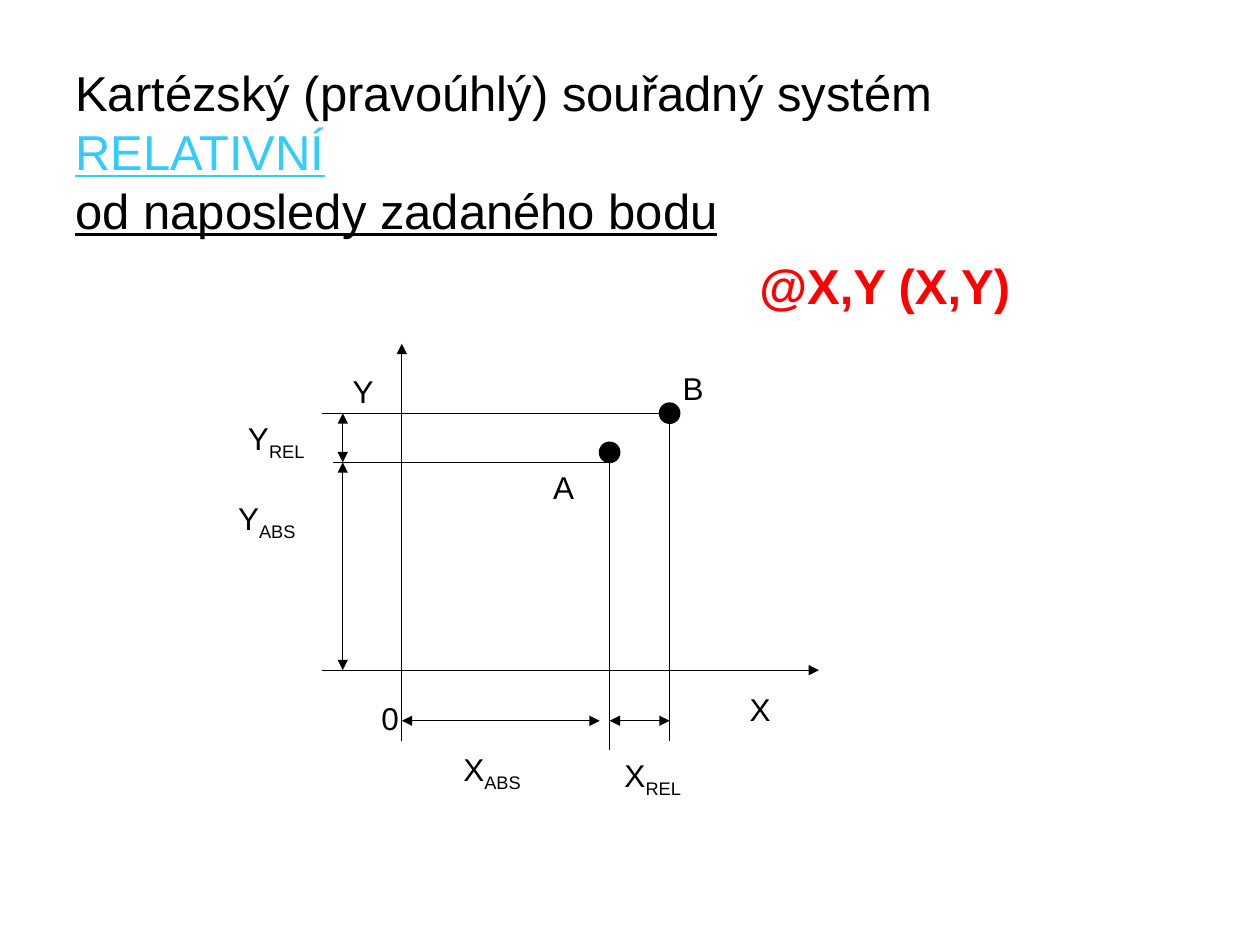
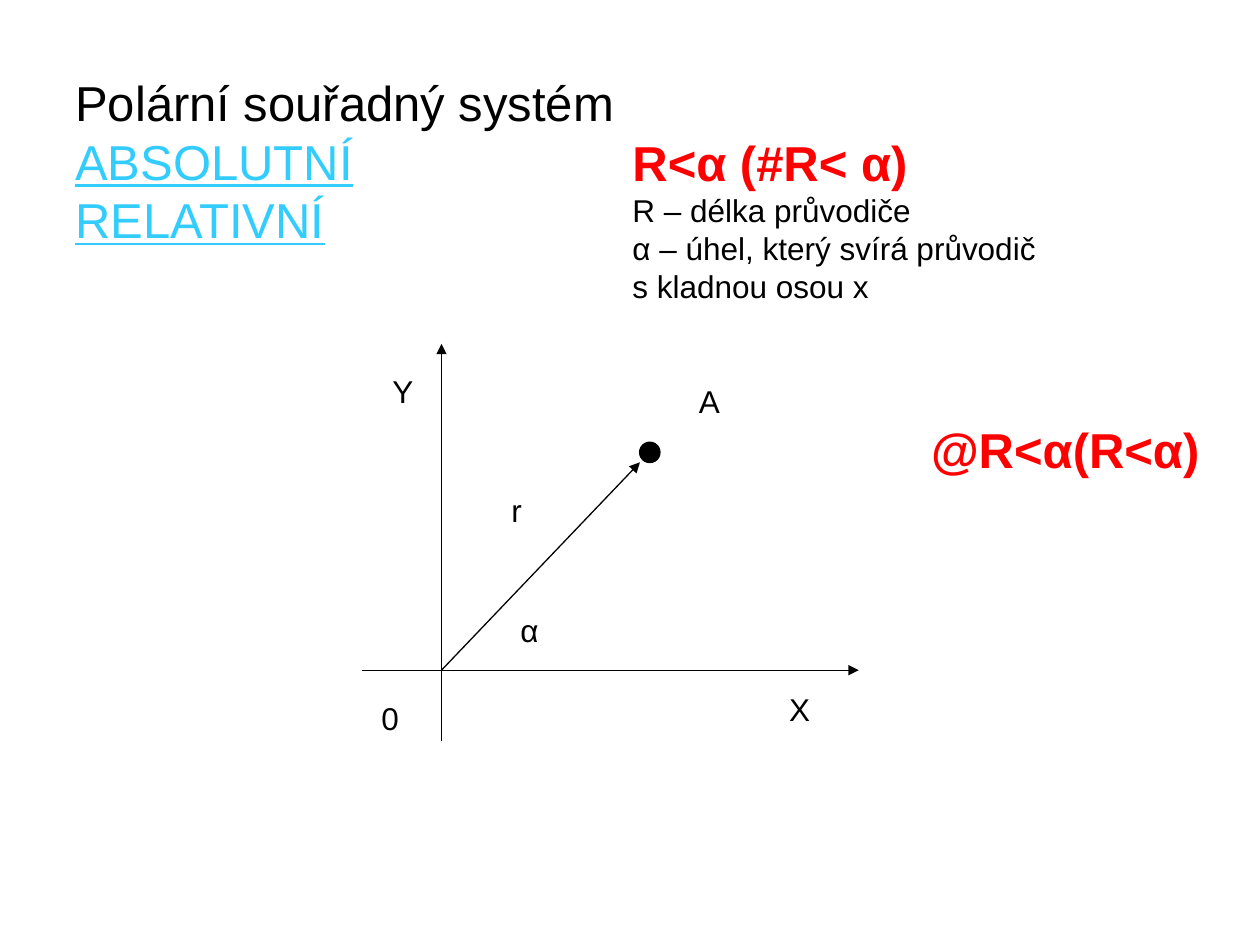
"""Build two slides on relative Cartesian and polar coordinate systems."""
from lxml import etree
from pptx import Presentation
from pptx.dml.color import RGBColor
from pptx.enum.shapes import MSO_CONNECTOR, MSO_SHAPE
from pptx.enum.text import MSO_ANCHOR, MSO_AUTO_SIZE
from pptx.oxml.ns import qn
from pptx.util import Cm, Pt

BLACK = RGBColor(0x00, 0x00, 0x00)
CYAN = RGBColor(0x33, 0xCC, 0xFF)
RED = RGBColor(0xFF, 0x00, 0x00)
STRAIGHT = MSO_CONNECTOR.STRAIGHT
ELLIPSE = MSO_SHAPE.OVAL
TOP, MIDDLE = MSO_ANCHOR.TOP, MSO_ANCHOR.MIDDLE
FIXED, GROW = MSO_AUTO_SIZE.NONE, MSO_AUTO_SIZE.SHAPE_TO_FIT_TEXT

LETTER_WIDTH, DIGIT_WIDTH, INDEXED_WIDTH = 0.91, 0.86, 1.68
ORIGIN_Y = 13.51


class Board:
    """Draws the elements of the current slide in one shared style."""

    def __init__(self):
        self.deck = Presentation()
        self.deck.slide_width, self.deck.slide_height = Cm(25.4), Cm(19.05)
        self.page = None

    def new_page(self):
        self.page = self.deck.slides.add_slide(self.deck.slide_layouts[6])

    def box(self, left, top, width, height, anchor=TOP, wrap=False):
        box = self.page.shapes.add_textbox(Cm(left), Cm(top), Cm(width), Cm(height))
        frame = box.text_frame
        frame.word_wrap = wrap
        frame.auto_size = FIXED if wrap else GROW
        frame.vertical_anchor = anchor
        return frame

    def style(self, para, size=18, color=BLACK, bold=False):
        para.font.name = "Arial"
        para.font.size = Pt(size)
        para.font.bold = bold
        para.font.color.rgb = color

    def title(self, height, rows):
        para = self.box(1.27, 0.76, 22.86, height, MIDDLE, True).paragraphs[0]
        self.style(para, 28)
        for index, (words, color, underlined) in enumerate(rows):
            if index:
                para.add_line_break()
            span = para.add_run()
            span.text = words
            span.font.color.rgb = color
            span.font.underline = underlined

    def label(self, left, top, words, index="", width=LETTER_WIDTH):
        if index:
            width = INDEXED_WIDTH
        para = self.box(left, top, width, 1.12 if index else 1.02).paragraphs[0]
        self.style(para)
        para.add_run().text = words
        if index:
            span = para.add_run()
            span.text = index
            span._r.get_or_add_rPr().set("baseline", "-25000")

    def formula(self, left, top, width, words, notes=(), height=1.45, anchor=TOP):
        frame = self.box(left, top, width, height, anchor)
        frame.text = "\n".join([words, *notes])
        first, *others = frame.paragraphs
        self.style(first, 28, RED, True)
        for para in others:
            self.style(para)

    def line(self, start, end, *arrow_ends):
        points = [Cm(value) for value in (*start, *end)]
        line = self.page.shapes.add_connector(STRAIGHT, *points)
        line.line.color.rgb = BLACK
        line.line.width = Pt(0.75)
        properties = line._element.spPr
        outline = properties.find(qn("a:ln"))
        for arrow_end in arrow_ends:
            etree.SubElement(outline, qn(f"a:{arrow_end}")).set("type", "triangle")
        etree.SubElement(properties, qn("a:effectLst"))

    def dimension(self, start, end):
        self.line(start, end, "headEnd", "tailEnd")

    def dot(self, x, y, size=0.41):
        dot = self.page.shapes.add_shape(
            ELLIPSE, Cm(x - size / 2), Cm(y - size / 2), Cm(size), Cm(size))
        dot.shadow.inherit = False
        dot.fill.solid()
        dot.fill.fore_color.rgb = BLACK
        dot.line.color.rgb = BLACK
        dot.line.width = Pt(0.75)

    def axes(self, x, y=ORIGIN_Y):
        self.line((x, y), (x, y - 6.58), "tailEnd")
        self.line((x, y), (x + 8.41, y), "tailEnd")
        self.line((x, y), (x - 1.6, y))
        self.line((x, y), (x, y + 1.43))
        self.label(x + 6.76, y + 0.28, "X")
        self.label(x - 1.24, y - 6.14, "Y")
        self.label(7.44, y + 0.46, "0", width=DIGIT_WIDTH)


def cartesian_page(board):
    origin_x, a_x, b_x = 8.1, 12.29, 13.5
    a_y, a_level, b_y = 9.12, 9.32, 8.33
    across_y, upright_x = 14.53, 6.91

    board.new_page()
    board.title(4.57, [("Kartézský (pravoúhlý) souřadný systém", BLACK, False),
                       ("RELATIVNÍ", CYAN, True),
                       ("od naposledy zadaného bodu", BLACK, True)])
    board.axes(origin_x)
    board.dot(a_x, a_y)
    board.line((a_x, a_y), (a_x, 15.11))
    board.line((a_x, a_level), (6.71, a_level))
    board.dot(b_x, b_y)
    board.line((b_x, b_y), (b_x, 14.94))
    board.line((b_x, b_y), (6.5, b_y))
    board.dimension((origin_x, across_y), (12.09, across_y))
    board.dimension((a_x, across_y), (b_x, across_y))
    board.dimension((upright_x, a_level), (upright_x, ORIGIN_Y))
    board.dimension((upright_x, b_y), (upright_x, a_level))
    for left, top, words, index in [
            (10.9, 9.32, "A", ""), (13.51, 7.32, "B", ""),
            (9.09, 14.99, "X", "ABS"), (12.34, 15.11, "X", "REL"),
            (4.55, 9.93, "Y", "ABS"), (4.75, 8.33, "Y", "REL")]:
        board.label(left, top, words, index)
    board.formula(15.06, 5.03, 5.56, "@X,Y (X,Y)")


def polar_page(board):
    origin_x = 8.9

    board.new_page()
    board.title(4.95, [("Polární souřadný systém", BLACK, False),
                       ("ABSOLUTNÍ", CYAN, True),
                       ("RELATIVNÍ", CYAN, True)])
    board.axes(origin_x)
    board.dot(13.1, 9.12)
    board.line((origin_x, ORIGIN_Y), (12.9, 9.32), "tailEnd")
    board.label(13.84, 7.57, "A")
    board.label(10.06, 9.78, "r", width=0.71)
    board.label(10.24, 12.19, "α", width=DIGIT_WIDTH)
    board.formula(18.52, 8.33, 5.92, "@R<α(R<α)")
    board.formula(12.5, 2.54, 8.81, "R<α (#R< α)",
                  ["R – délka průvodiče", "α – úhel, který svírá průvodič",
                   "s kladnou osou x"], 3.73, MIDDLE)


def main():
    board = Board()
    cartesian_page(board)
    polar_page(board)
    board.deck.save("out.pptx")


if __name__ == "__main__":
    main()
